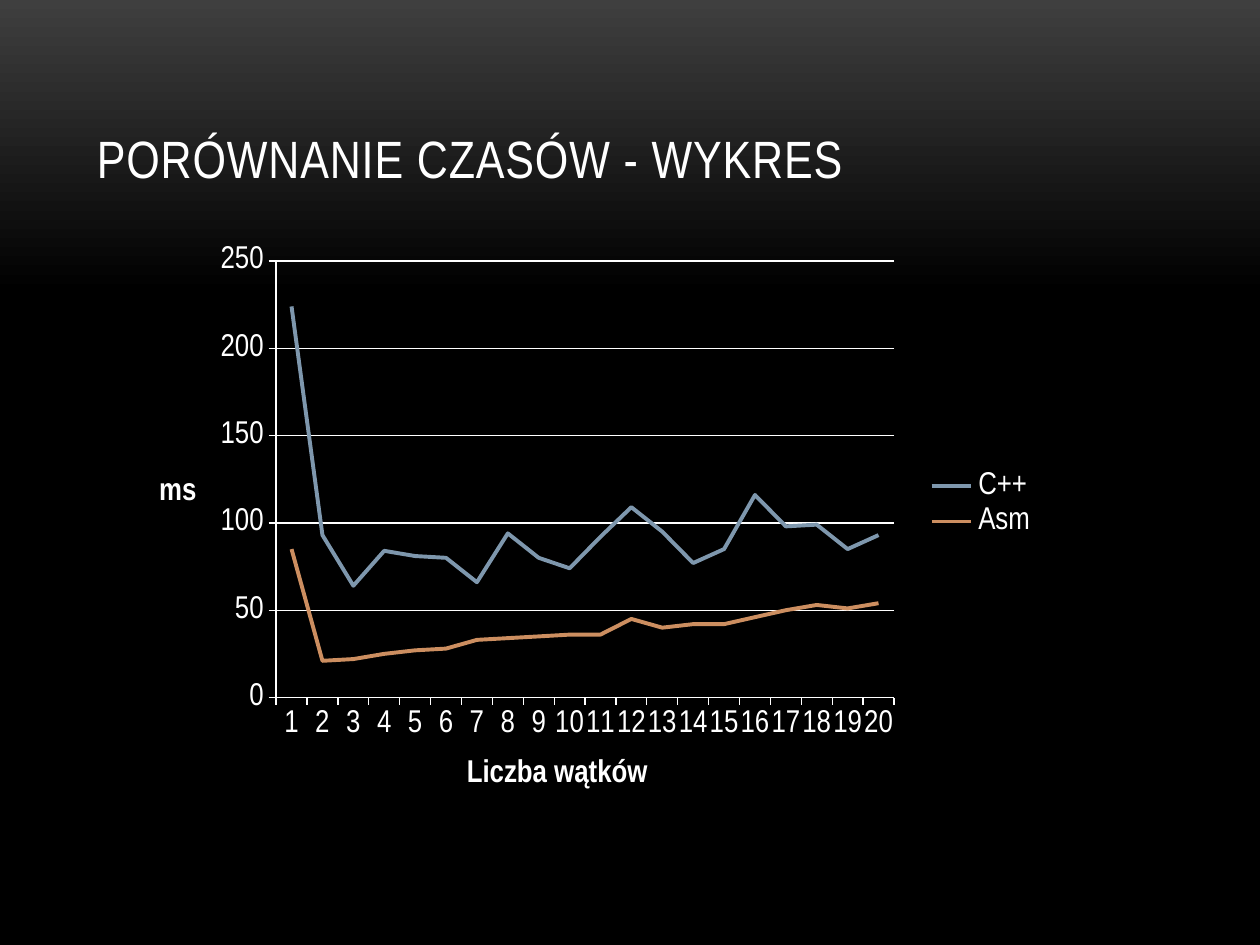
import copy
import pptx
import pptx.chart.data
import pptx.dml.color
import pptx.enum.chart
import pptx.enum.text
import pptx.oxml
import pptx.oxml.ns
import pptx.util

RGBColor = pptx.dml.color.RGBColor
Inches = pptx.util.Inches
Pt = pptx.util.Pt

WHITE = RGBColor(0xFF, 0xFF, 0xFF)
BLACK = RGBColor(0, 0, 0)
CHARCOAL = RGBColor(0x3F, 0x3F, 0x3F)
BLUE = RGBColor(0x7E, 0x97, 0xAD)
ORANGE = RGBColor(0xCC, 0x8E, 0x60)
FONT = "Arial Narrow"

TITLE = "PORÓWNANIE CZASÓW - WYKRES"
TITLE_BOX = (0.67, 0.3, 8.67, 1.25)
CHART_BOX = (1.02, 1.56, 7.32, 4.88)
PLOT_SHARES = {"x": 0.16, "y": 0.105, "w": 0.67, "h": 0.71}
BACKGROUND_STOPS = [(0, CHARCOAL), (0.31, BLACK), (1, BLACK)]
THREADS = range(1, 21)
TIMES = [
    ("C++", BLUE, (224, 93, 64, 84, 81, 80, 66, 94, 80, 74,
                   92, 109, 95, 77, 85, 116, 98, 99, 85, 93)),
    ("Asm", ORANGE, (85, 21, 22, 25, 27, 28, 33, 34, 35, 36,
                     36, 45, 40, 42, 42, 46, 50, 53, 51, 54)),
]


def style_font(font, size, bold=False):
    font.name = FONT
    font.size = Pt(size)
    font.bold = bold
    font.color.rgb = WHITE


def style_line(line, color, width):
    line.color.rgb = color
    line.width = Pt(width)


def style_axis(axis, title):
    axis.major_tick_mark = pptx.enum.chart.XL_TICK_MARK.OUTSIDE
    axis.minor_tick_mark = pptx.enum.chart.XL_TICK_MARK.NONE
    style_line(axis.format.line, WHITE, 0.75)
    style_font(axis.tick_labels.font, 18)
    frame = axis.axis_title.text_frame
    run = frame.paragraphs[0].add_run()
    run.text = title
    style_font(run.font, 18, True)
    body = frame._txBody.bodyPr
    body.set("rot", "0")
    body.set("vert", "horz")


presentation = pptx.Presentation()
presentation.slide_width = Inches(10)
presentation.slide_height = Inches(7.5)
slide = presentation.slides.add_slide(presentation.slide_layouts[6])

fill = slide.background.fill
fill.gradient()
fill.gradient_angle = 270
stop_list = fill.gradient_stops[0]._gs.getparent()
stop_list.append(copy.deepcopy(stop_list[-1]))
for stop, (position, color) in zip(fill.gradient_stops, BACKGROUND_STOPS):
    stop.position = position
    stop.color.rgb = color

data = pptx.chart.data.CategoryChartData()
data.categories = [str(count) for count in THREADS]
for name, color, values in TIMES:
    data.add_series(name, values)
chart = slide.shapes.add_chart(
    pptx.enum.chart.XL_CHART_TYPE.LINE, *map(Inches, CHART_BOX), data).chart
style_font(chart.font, 18)
chart.has_title = False
chart.has_legend = True
chart.legend.position = pptx.enum.chart.XL_LEGEND_POSITION.RIGHT
chart.legend.include_in_layout = False
style_font(chart.legend.font, 18)

style_axis(chart.category_axis, "Liczba wątków")
style_axis(chart.value_axis, "ms")
chart.value_axis.minimum_scale = 0
chart.value_axis.maximum_scale = 250
chart.value_axis.major_unit = 50
chart.value_axis.has_major_gridlines = True
style_line(chart.value_axis.major_gridlines.format.line, WHITE, 0.75)

plot = chart.plots[0]
plot.vary_by_categories = False
for series, (name, color, values) in zip(plot.series, TIMES):
    series.smooth = False
    series.marker.style = pptx.enum.chart.XL_MARKER_STYLE.NONE
    style_line(series.format.line, color, 2.25)

plot_area = chart._chartSpace.chart.plotArea
for layout in plot_area.findall(pptx.oxml.ns.qn("c:layout")):
    plot_area.remove(layout)
settings = [("layoutTarget", "inner"), ("xMode", "edge"), ("yMode", "edge"),
            *PLOT_SHARES.items()]
parts = "".join(f'<c:{tag} val="{value}"/>' for tag, value in settings)
plot_area.insert(0, pptx.oxml.parse_xml(
    f'<c:layout {pptx.oxml.ns.nsdecls("c")}>'
    f'<c:manualLayout>{parts}</c:manualLayout></c:layout>'))

title_box = slide.shapes.add_textbox(*map(Inches, TITLE_BOX))
frame = title_box.text_frame
frame.word_wrap = True
frame.vertical_anchor = pptx.enum.text.MSO_ANCHOR.BOTTOM
run = frame.paragraphs[0].add_run()
run.text = TITLE
style_font(run.font, 30)
run.font._element.set("spc", "50")

presentation.save("out.pptx")
